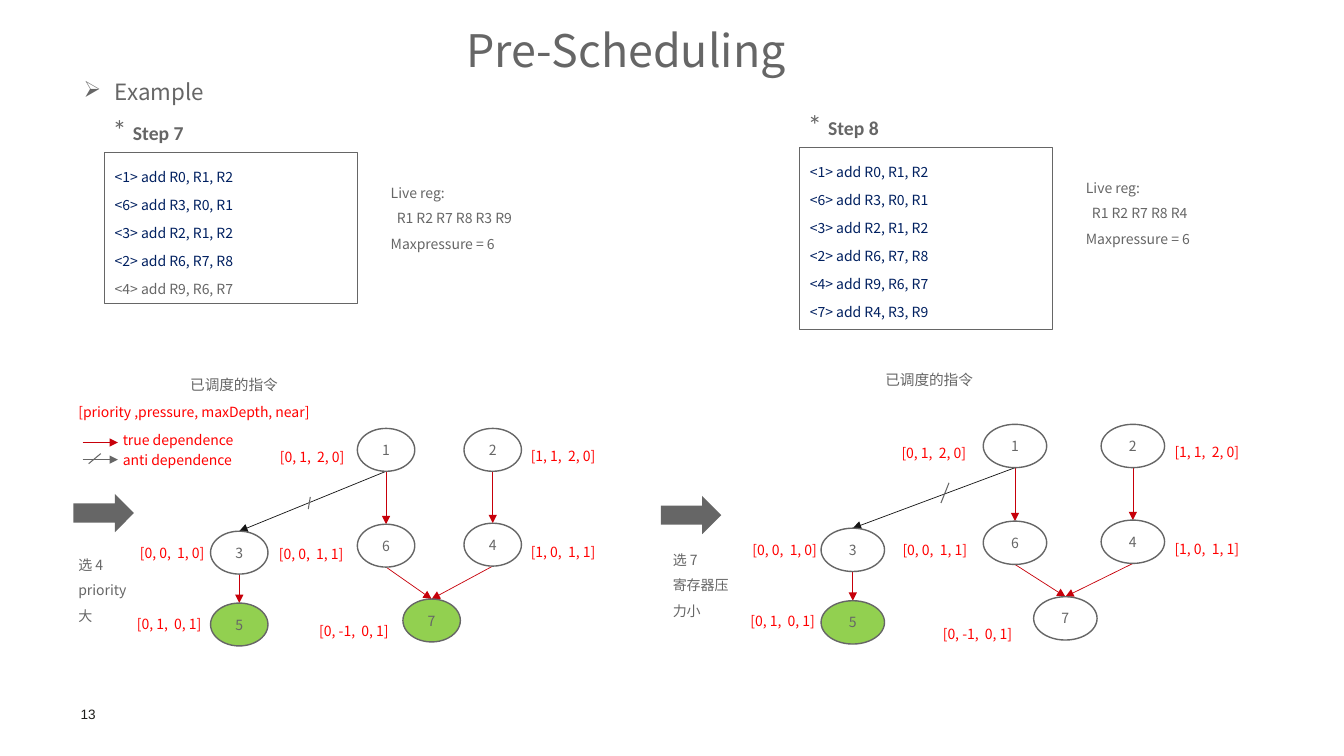
from dataclasses import dataclass

from lxml import etree
from pptx import Presentation
from pptx.dml.color import RGBColor
from pptx.enum.shapes import MSO_CONNECTOR, MSO_SHAPE
from pptx.enum.text import MSO_ANCHOR, PP_ALIGN
from pptx.oxml.ns import qn
from pptx.util import Inches, Pt

STRAIGHT = MSO_CONNECTOR.STRAIGHT
RECT, OVAL, ARROW = MSO_SHAPE.RECTANGLE, MSO_SHAPE.OVAL, MSO_SHAPE.RIGHT_ARROW
TOP, MIDDLE = MSO_ANCHOR.TOP, MSO_ANCHOR.MIDDLE
CENTER, LEFT = PP_ALIGN.CENTER, PP_ALIGN.LEFT
FONT = "Noto Sans CJK SC"
COLORS = {
    "gray": "666666", "navy": "002060", "red": "FF0000", "true": "C7000A",
    "anti": "151515", "green": "92D050", "white": "FFFFFF", "ink": "1D1D1B",
}

# Dependence graph at full scale, measured from the left of node 3 and top of node 1
NODES = {
    "1": (1.61, 0), "2": (2.78, 0), "3": (0, 1.03), "4": (2.78, 0.95),
    "5": (0, 1.75), "6": (1.61, 0.96), "7": (2.11, 1.71),
}
NODE_SIZE = (0.63, 0.43)
EDGES = [("1", "3", "anti"), ("1", "6", "true"), ("2", "4", "true"),
         ("6", "7", "true"), ("4", "7", "true"), ("3", "5", "true")]
WEIGHTS = {
    "1": "[0, 1,  2, 0]", "2": "[1, 1,  2, 0]", "3": "[0, 0,  1, 0]",
    "4": "[1, 0,  1, 1]", "5": "[0, 1,  0, 1]", "6": "[0, 0,  1, 1]",
    "7": "[0, -1,  0, 1]",
}


@dataclass
class Step:
    """One scheduling step; weights, slash, arrow and choice are measured from the graph."""
    title: str
    code: list
    latest: str
    live: str
    choice: list
    ready: str
    code_at: tuple
    code_height: float
    graph_at: tuple
    scale: tuple
    weights_at: dict
    slash: tuple
    arrow_at: tuple
    choice_at: tuple


SCHEDULED = ["<1> add R0, R1, R2", "<6> add R3, R0, R1", "<3> add R2, R1, R2",
             "<2> add R6, R7, R8", "<4> add R9, R6, R7"]
STEPS = [
    Step("Step 7", SCHEDULED, "gray", "R1 R2 R7 R8 R3 R9", ["选 4 priority大"], "57",
         (1.04, 1.51), 1.5, (2.09, 4.25), (0.905, 0.99),
         {"1": (0.59, -0.16), "2": (3.08, -0.17), "3": (-0.8, 0.79), "4": (3.08, 0.78),
          "5": (-0.83, 1.5), "6": (0.58, 0.8), "7": (0.98, 1.57)},
         ((0.97, 0.8), (0.99, 0.68)), (-1.36, 0.65), (-1.41, 1.14)),
    Step("Step 8", SCHEDULED + ["<7> add R4, R3, R9"], "navy", "R1 R2 R7 R8 R4",
         ["选 7", "寄存器压力小"], "5",
         (7.94, 1.46), 1.81, (8.15, 4.21), (1, 1),
         {"1": (0.7, -0.16), "2": (3.41, -0.17), "3": (-0.78, 0.8), "4": (3.41, 0.79),
          "5": (-0.8, 1.51), "6": (0.71, 0.8), "7": (1.11, 1.63)},
         ((1.19, 0.78), (1.27, 0.58)), (-1.59, 0.71), (-1.57, 1.13)),
]


def color(name):
    return RGBColor.from_string(COLORS[name])


def offset(origin, delta):
    return origin[0] + delta[0], origin[1] + delta[1]


def style_run(run, points, tint, font=FONT, bold=False):
    run.font.size, run.font.name, run.font.bold = Pt(points), font, bold
    run.font.color.rgb = color(tint)
    etree.SubElement(run.font._element, qn("a:ea")).set("typeface", font)


def write(shape, lines, points=10, tint="gray", spacing=None, align=LEFT, font=FONT):
    frame = shape.text_frame
    frame.word_wrap = True
    frame.text = "\n".join(lines)
    for paragraph in frame.paragraphs:
        paragraph.alignment = align
        paragraph.line_spacing = spacing
        for run in paragraph.runs:
            style_run(run, points, tint, font)
    return frame


def add_label(slide, at, size, lines, inset=True, **style):
    label = slide.shapes.add_textbox(*map(Inches, at + size))
    frame = write(label, lines, **style)
    if not inset:
        frame.margin_left = frame.margin_right = frame.margin_top = frame.margin_bottom = 0
    return frame


def add_block(slide, kind, at, size, fill=None, outline=None, width=1):
    block = slide.shapes.add_shape(kind, *map(Inches, at + size))
    block.shadow.inherit = False
    if fill:
        block.fill.solid()
        block.fill.fore_color.rgb = color(fill)
    else:
        block.fill.background()
    if outline:
        block.line.color.rgb = color(outline)
        block.line.width = Pt(width)
    else:
        block.line.fill.background()
    return block


def add_line(slide, start, end, tint, width=0.5, arrow=True):
    line = slide.shapes.add_connector(STRAIGHT, *map(Inches, start + end))
    line.line.color.rgb = color(tint)
    line.line.width = Pt(width)
    properties = line._element.spPr
    if arrow:
        etree.SubElement(properties.find(qn("a:ln")), qn("a:tailEnd")).set("type", "triangle")
    etree.SubElement(properties, qn("a:effectLst"))


def add_heading(slide):
    add_label(slide, (0.34, 0.28), (11.75, 0.49), ["Pre-Scheduling"], inset=False,
              points=32, spacing=Pt(34.3), align=CENTER)
    topic = add_label(slide, (0.81, 0.78), (3, 0.3), ["Example"], inset=False, points=16)
    properties = topic.paragraphs[0]._p.get_or_add_pPr()
    properties.set("marL", str(Inches(0.33)))
    properties.set("indent", str(Inches(-0.31)))
    etree.SubElement(properties, qn("a:buChar")).set("char", "➢")
    add_label(slide, (0.8, 7), (0.55, 0.16), ["13"], inset=False,
              points=9.7, tint="ink", font="Arial")


def add_code(slide, step):
    """Scheduled instructions with their title, caption and live registers."""
    title = add_label(slide, offset(step.code_at, (-0.02, -0.44)), (1.1, 0.44), ["* "],
                      points=20, font="Calibri")
    name = title.paragraphs[0].add_run()
    name.text = step.title
    style_run(name, 14, "gray", "Calibri", bold=True)

    listing = add_block(slide, RECT, step.code_at, (2.51, step.code_height),
                        outline="gray", width=0.75)
    listing.text_frame.vertical_anchor = TOP
    code = write(listing, step.code, tint="navy", spacing=Pt(20))
    code.paragraphs[-1].runs[0].font.color.rgb = color(step.latest)

    add_label(slide, offset(step.code_at, (0.75, 1.87)), (1.26, 0.58), ["已调度的指令"],
              points=10.5, spacing=Pt(34.4))
    registers = add_label(slide, offset(step.code_at, (2.74, 0.19)), (2.09, 0.87),
                          ["Live reg:", step.live, "Maxpressure = 6"], spacing=1.5)
    registers.paragraphs[1]._p.get_or_add_pPr().set("marL", str(Inches(0.06)))


def add_graph(slide, step):
    """Dependence graph with weights, and the instruction chosen next."""
    def scaled(point):
        return point[0] * step.scale[0], point[1] * step.scale[1]

    width, height = NODE_SIZE
    for source, target, kind in EDGES:
        start = scaled(offset(NODES[source], (width / 2, height)))
        end = scaled(offset(NODES[target], (width / 2, 0)))
        add_line(slide, offset(step.graph_at, start), offset(step.graph_at, end), kind)
    slash_start, slash_end = (offset(step.graph_at, point) for point in step.slash)
    add_line(slide, slash_start, slash_end, "gray", 0.75, arrow=False)

    for name, place in NODES.items():
        node = add_block(slide, OVAL, offset(step.graph_at, scaled(place)), scaled(NODE_SIZE),
                         "green" if name in step.ready else "white", "gray")
        node.text_frame.vertical_anchor = MIDDLE
        write(node, [name], align=CENTER)
        add_label(slide, offset(step.graph_at, step.weights_at[name]), (0.95, 0.58),
                  [WEIGHTS[name]], tint="red", spacing=Pt(34.4))

    add_block(slide, ARROW, offset(step.graph_at, step.arrow_at), (0.6, 0.38), "gray")
    add_label(slide, offset(step.graph_at, step.choice_at), (0.77, 0.87), step.choice,
              spacing=1.5)


def add_legend(slide, left, top):
    add_label(slide, (left, top), (2.87, 0.27), ["[priority ,pressure, maxDepth, near]"],
              tint="red")
    rows = [("true dependence", "true", 0.44, 0.28), ("anti dependence", "gray", 0.61, 0.48)]
    for meaning, tint, line_y, text_y in rows:
        add_line(slide, (left + 0.14, top + line_y), (left + 0.49, top + line_y), tint)
        add_label(slide, (left + 0.44, top + text_y), (1.52, 0.27), [meaning], tint="red")
    add_line(slide, (left + 0.2, top + 0.65), (left + 0.32, top + 0.55), "gray", 0.75, arrow=False)


def main():
    deck = Presentation()
    deck.slide_width, deck.slide_height = Inches(13.34), Inches(7.5)
    slide = deck.slides.add_slide(deck.slide_layouts[6])
    add_heading(slide)
    for step in STEPS:
        add_code(slide, step)
        add_graph(slide, step)
    add_legend(slide, 0.68, 3.95)
    deck.save("out.pptx")


if __name__ == "__main__":
    main()
